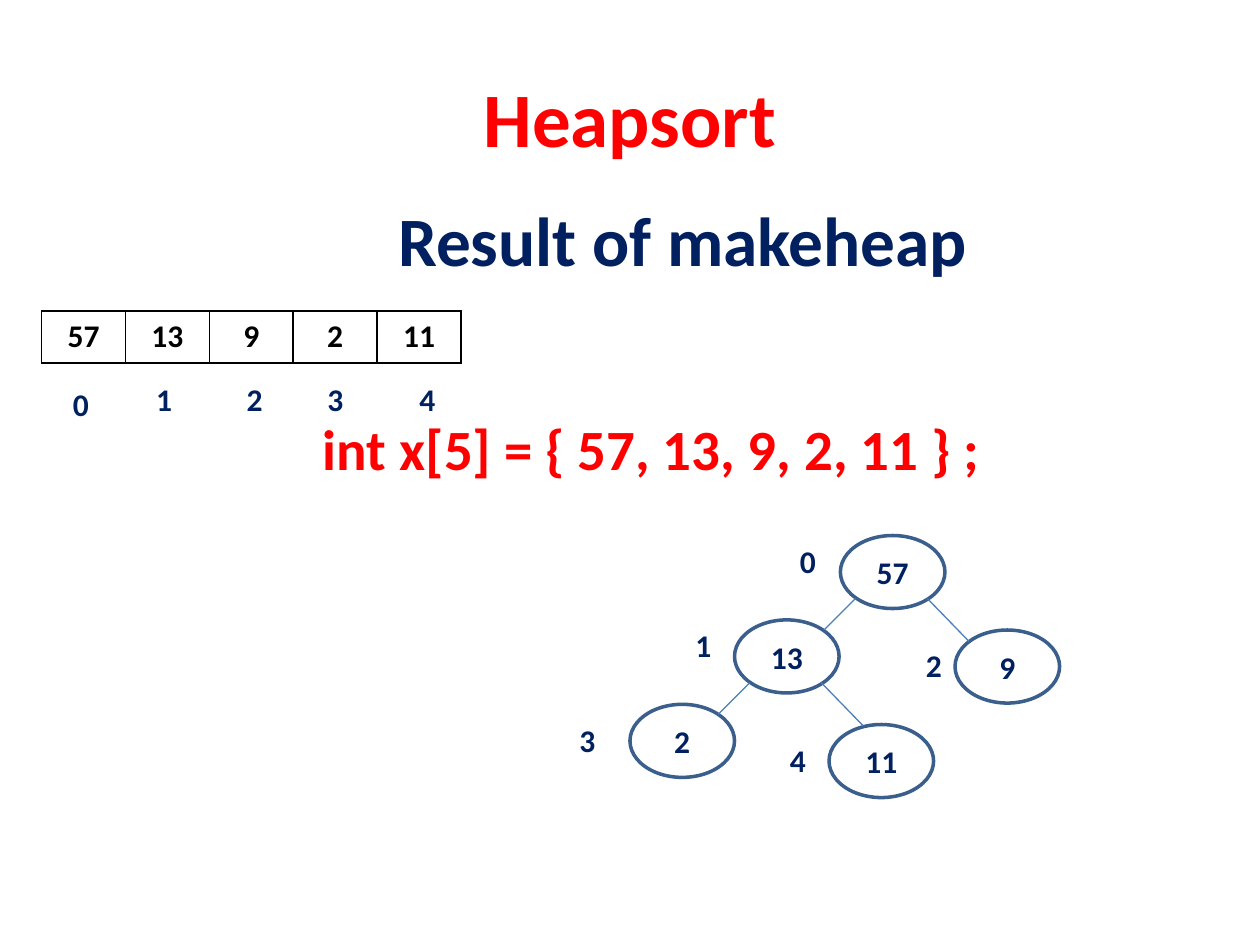
import pptx
import pptx.util
import pptx.dml.color
import pptx.enum.text
import pptx.enum.shapes
import pptx.oxml
import lxml.etree

Inches, Pt = pptx.util.Inches, pptx.util.Pt
RGBColor = pptx.dml.color.RGBColor
PP_ALIGN = pptx.enum.text.PP_ALIGN
ANCHOR = pptx.enum.text.MSO_ANCHOR

RED = RGBColor(0xFF, 0x00, 0x00)
NAVY = RGBColor(0x00, 0x20, 0x60)
BLACK = RGBColor(0x00, 0x00, 0x00)
WHITE = RGBColor(0xFF, 0xFF, 0xFF)
NODE_LINE = RGBColor(0x3A, 0x5F, 0x8C)
EDGE_LINE = RGBColor(0x4B, 0x7E, 0xBC)
DRAWING = "http://schemas.openxmlformats.org/drawingml/2006/main"

deck = pptx.Presentation()
deck.slide_width, deck.slide_height = Inches(10), Inches(7.5)
page = deck.slides.add_slide(deck.slide_layouts[3])


def write(frame, text, size, color, align=PP_ALIGN.CENTER):
    """Put one bold Calibri paragraph into a text frame and return it."""
    frame.text = text
    para = frame.paragraphs[0]
    para.alignment = align
    for span in para.runs:
        span.font.name, span.font.size, span.font.bold = "Calibri", Pt(size), True
        span.font.color.rgb = color
    return para


def add_index(number, left, top):
    """Add the small array index at a position in inches."""
    box = page.shapes.add_textbox(Inches(left), Inches(top), Inches(0.34), Inches(0.4))
    box.text_frame.word_wrap = False
    write(box.text_frame, str(number), 18, NAVY, PP_ALIGN.LEFT)


# Title and the two body lines: text, left, top, inset above, size, colour
title, *bodies = page.placeholders
title.left, title.top, title.width, title.height = map(Inches, (0.5, 0.3, 9, 1.25))
title.text_frame.vertical_anchor = ANCHOR.MIDDLE
write(title.text_frame, "Heapsort", 44, RED)

body_lines = [
    ("Result of makeheap", 0.92, 1.08, 0.61, 39.6, NAVY),
    ("int x[5] = { 57, 13, 9, 2, 11 } ;", 0.67, 3, 0.39, 32.5, RED),
]
for body, (text, left, top, inset, size, color) in zip(bodies, body_lines):
    body.left, body.top, body.width, body.height = map(Inches, (left, top, 9, 1.25))
    frame = body.text_frame
    frame.auto_size = pptx.enum.text.MSO_AUTO_SIZE.NONE
    frame.vertical_anchor = ANCHOR.TOP
    frame.margin_top = Inches(inset)
    para = write(frame, text, size, color)
    para.line_spacing = 0.8
    para.space_before = Pt(0)
    properties = para._p.get_or_add_pPr()
    properties.set("marL", "0")
    properties.set("indent", "0")
    lxml.etree.SubElement(properties, f"{{{DRAWING}}}buNone")

# Array table with its indices
values = [57, 13, 9, 2, 11]
table = page.shapes.add_table(
    1, len(values), Inches(0.33), Inches(2.47), Inches(3.33), Inches(0.41)).table
table.first_row = table.horz_banding = False
for cell, value in zip(table.iter_cells(), values):
    write(cell.text_frame, str(value), 18, BLACK)
    properties = cell._tc.get_or_add_tcPr()
    for side in ("lnL", "lnR", "lnT", "lnB"):
        properties.append(pptx.oxml.parse_xml(
            f'<a:{side} xmlns:a="{DRAWING}" w="12700"><a:solidFill>'
            f'<a:srgbClr val="{BLACK}"/></a:solidFill></a:{side}>'))
    cell.fill.solid()
    cell.fill.fore_color.rgb = WHITE

array_indices = [(0.48, 3.01), (1.14, 2.97), (1.86, 2.97), (2.5, 2.97), (3.23, 2.97)]
for number, (left, top) in enumerate(array_indices):
    add_index(number, left, top)

# Heap nodes, each with its index on the left
nodes = [(6.67, 4.25), (5.83, 4.92), (7.58, 5), (5, 5.59), (6.58, 5.75)]
node_indices = [(6.25, 4.25), (5.42, 4.92), (7.25, 5.08), (4.5, 5.67), (6.17, 5.83)]
for number, (value, (left, top)) in enumerate(zip(values, nodes)):
    node = page.shapes.add_shape(
        pptx.enum.shapes.MSO_SHAPE.OVAL,
        Inches(left), Inches(top), Inches(0.83), Inches(0.58))
    node.shadow.inherit = False
    node.fill.solid()
    node.fill.fore_color.rgb = WHITE
    node.line.color.rgb = NODE_LINE
    node.line.width = Pt(2)
    node.text_frame.vertical_anchor = ANCHOR.MIDDLE
    write(node.text_frame, str(value), 18, NAVY)
    add_index(number, *node_indices[number])

# The parent of node i is node (i - 1) // 2; odd nodes are left children
for child in range(1, len(nodes)):
    left, top = nodes[(child - 1) // 2]
    start, across, down = (0.12, -0.25, 0.25) if child % 2 else (0.69, 0.33, 0.34)
    x, y = left + start, top + 0.5
    edge = page.shapes.add_connector(
        pptx.enum.shapes.MSO_CONNECTOR.STRAIGHT,
        Inches(x), Inches(y), Inches(x + across), Inches(y + down))
    edge.line.color.rgb = EDGE_LINE
    edge.line.width = Pt(0.75)
    lxml.etree.SubElement(edge._element.spPr, f"{{{DRAWING}}}effectLst")

# Footer placeholders are not carried over from the layout
deck.save("out.pptx")
